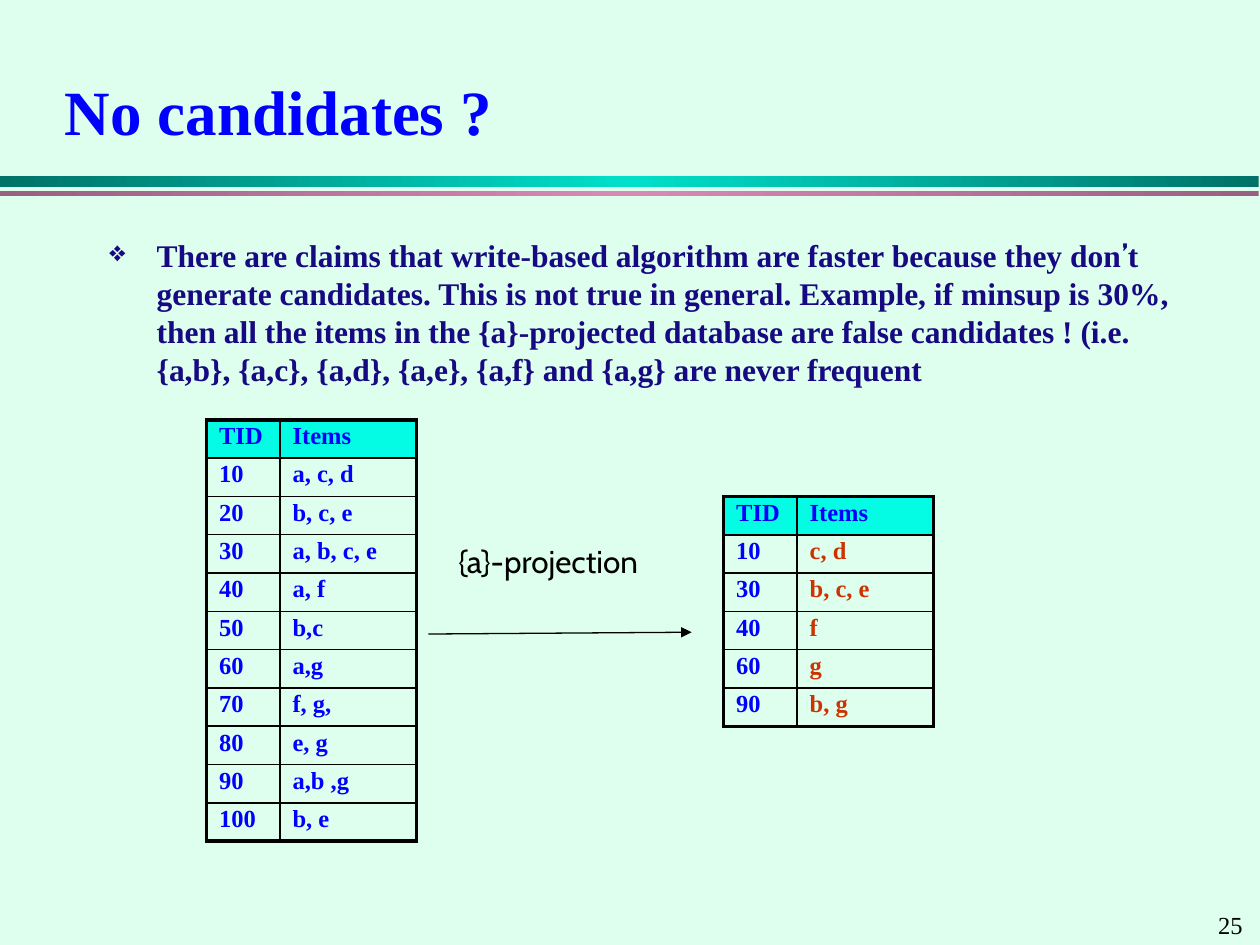
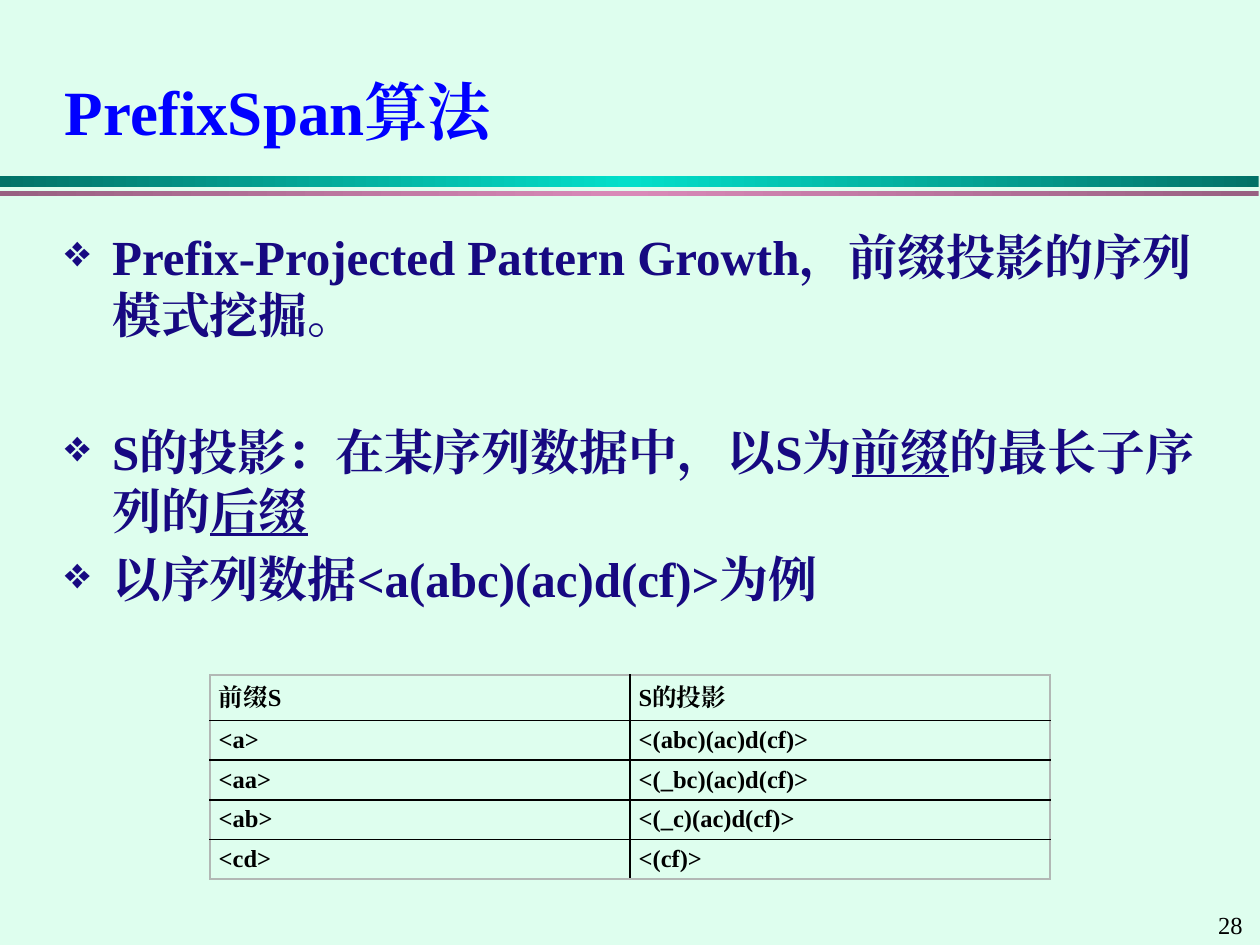
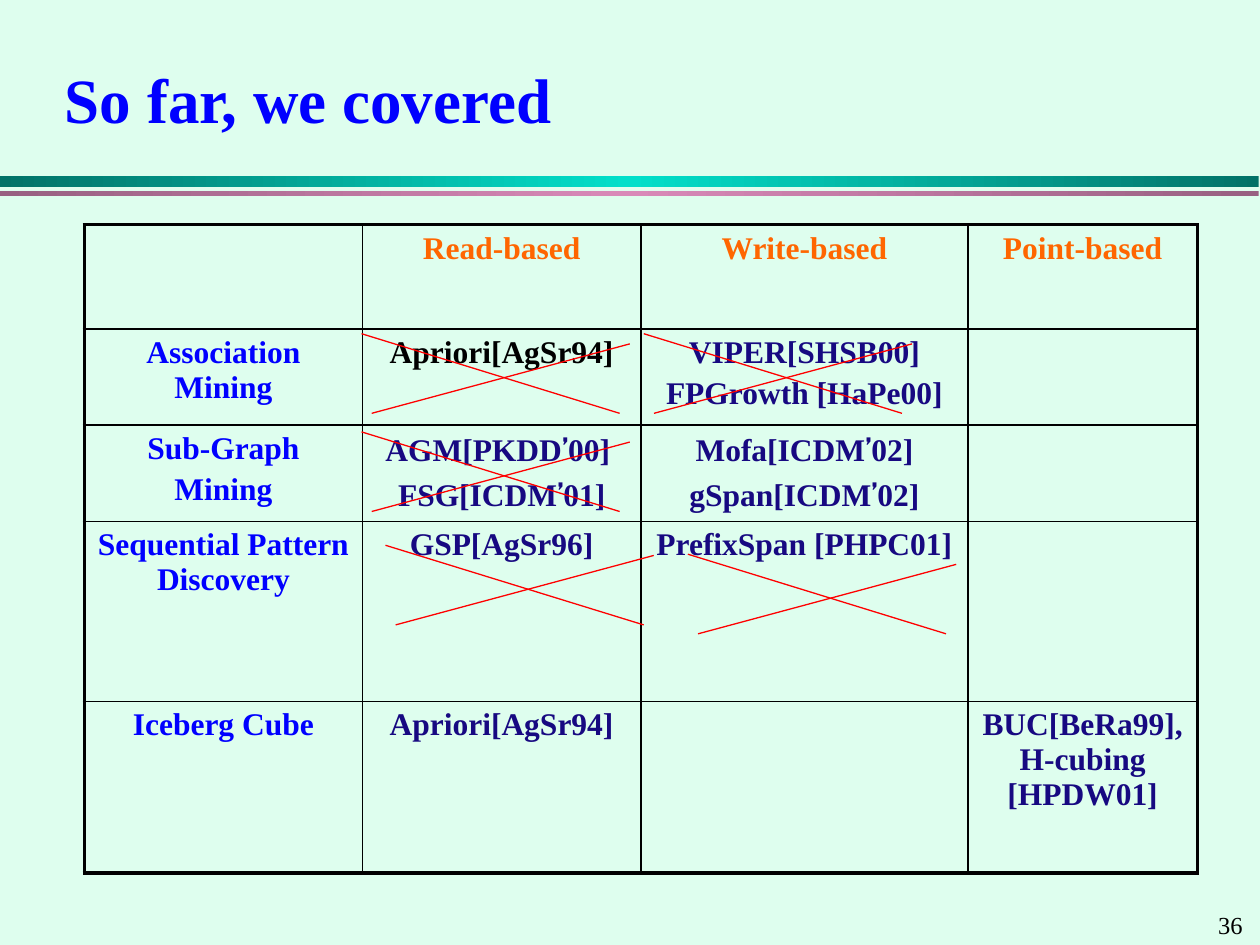
from copy import deepcopy
from itertools import accumulate, groupby

from lxml import etree
from pptx import Presentation
from pptx.dml.color import RGBColor
from pptx.enum import shapes, text
from pptx.oxml.ns import qn
from pptx.util import Pt

# Shared look
SERIF, SANS = "Times New Roman", "Cabin"
MINT, BLUE, NAVY, BLACK = "DEFEEE", "0000FF", "170981", "000000"
AQUA, RUST, ORANGE, RED, GREY = "04FCE4", "CC3300", "FF6600", "FF0000", "B2B8B5"
BANDS = [(100.8, 5.8, "007267", "00DFCA"), (109.4, 2.9, "986081", "D989B8")]

# Slide 1
CLAIM = ("There are claims that write-based algorithm are faster because they don’t "
         "generate candidates. This is not true in general. Example, if minsup is 30%, "
         "then all the items in the {a}-projected database are false candidates ! "
         "(i.e. {a,b}, {a,c}, {a,d}, {a,e}, {a,f} and {a,g} are never frequent")
HEAD = ("TID", "Items")
ALL = [HEAD, ("10", "a, c, d"), ("20", "b, c, e"), ("30", "a, b, c, e"), ("40", "a, f"),
       ("50", "b,c"), ("60", "a,g"), ("70", "f, g,"), ("80", "e, g"), ("90", "a,b ,g"),
       ("100", "b, e")]
PART = [HEAD, ("10", "c, d"), ("30", "b, c, e"), ("40", "f"), ("60", "g"), ("90", "b, g")]

# Slide 2: bars enclose underlined words; each point has its space before
POINTS = [("Prefix-Projected Pattern Growth，前缀投影的序列模式挖掘。", 0),
          ("S的投影：在某序列数据中，以S为|前缀|的最长子序列的|后缀|", 44.9),
          ("以序列数据<a(abc)(ac)d(cf)>为例", 5.6)]
PREFIX = [("前缀S", "S的投影"), ("<a>", "<(abc)(ac)d(cf)>"), ("<aa>", "<(_bc)(ac)d(cf)>"),
          ("<ab>", "<(_c)(ac)d(cf)>"), ("<cd>", "<(cf)>")]

# Slide 3
COVER = [("", "Read-based", "Write-based", "Point-based"),
         ("Association Mining", "Apriori[AgSr94]", "VIPER[SHSB00]\nFPGrowth [HaPe00]", ""),
         ("Sub-Graph\nMining", "AGM[PKDD’00] \nFSG[ICDM’01]",
          "Mofa[ICDM’02]\ngSpan[ICDM’02]", ""),
         ("Sequential Pattern Discovery", "GSP[AgSr96]", "PrefixSpan [PHPC01]", ""),
         ("Iceberg Cube", "Apriori[AgSr94]", "", "BUC[BeRa99], H-cubing [HPDW01]")]
CROSSES = [(212.4, 236.2), (373.7, 236.2), (226.1, 357.1), (398.9, 362.2), (212.4, 292.3)]


def paint(fmt, color):
    fmt.solid()
    fmt.fore_color.rgb = RGBColor.from_string(color)


def write(par, words, size, color, bold=True, face=SERIF):
    """Fill a paragraph; bars toggle underline, the curly quote is set in Cabin."""
    for i, piece in enumerate(words.split("|")):
        for quote, chars in groupby(piece, lambda c: c == "’"):
            run = par.add_run()
            run.text = "".join(chars)
            font = run.font
            font.name = SANS if quote else face
            font.size, font.bold = Pt(size), bold
            font.color.rgb = RGBColor.from_string(color)
            if i % 2:
                font.underline = True
            etree.SubElement(font._element, qn("a:ea"), typeface=face)


def box(slide, left, top, width, height, wrap=True):
    frame = slide.shapes.add_textbox(Pt(left), Pt(top), Pt(width), Pt(height)).text_frame
    frame.word_wrap = wrap
    return frame


def bullet(par, words, size, pitch, before=0):
    props = par._p.get_or_add_pPr()
    props.set("marL", str(Pt(27)))
    props.set("indent", str(-Pt(27)))
    par.line_spacing, par.space_before = Pt(pitch), Pt(before)
    etree.SubElement(props, qn("a:buSzPct"), val="90000")
    etree.SubElement(props, qn("a:buChar"), char="❖")
    write(par, words, size, NAVY)


def line(slide, x1, y1, x2, y2, color, arrow=False):
    link = slide.shapes.add_connector(
        shapes.MSO_CONNECTOR.STRAIGHT, Pt(x1), Pt(y1), Pt(x2), Pt(y2))
    link.line.width = Pt(0.75)
    paint(link.line.fill, color)
    if arrow:
        etree.SubElement(link.line._get_or_add_ln(), qn("a:tailEnd"), type="triangle")
    etree.SubElement(link._element.spPr, qn("a:effectLst"))


def edge(cell, sides):
    """Put the borders, given as (colour, width) for L, R, T, B, before the fill."""
    props = cell._tc.get_or_add_tcPr()
    for i, (side, (color, width)) in enumerate(zip("LRTB", sides)):
        ln = etree.Element(qn("a:ln" + side), w=str(Pt(width)))
        fill = etree.SubElement(ln, qn("a:solidFill"))
        etree.SubElement(fill, qn("a:srgbClr"), val=color)
        props.insert(i, ln)


def grid(slide, left, top, cols, rows, data, size, hue, rim=(BLACK, 2.25),
         head=None, inset=(7.2, 3.6), middle=True, center=False, pitch=None):
    """Draw a table; hue(row, column) gives the text colour."""
    table = slide.shapes.add_table(len(rows), len(cols), Pt(left), Pt(top),
                                   Pt(sum(cols)), Pt(sum(rows))).table
    table.first_row = table.horz_banding = False
    for col, width in zip(table.columns, cols):
        col.width = Pt(width)
    for row, height in zip(table.rows, rows):
        row.height = Pt(height)
    thin = (BLACK, 1)
    for r, record in enumerate(data):
        for c, words in enumerate(record):
            cell = table.cell(r, c)
            cell.margin_left = cell.margin_right = Pt(inset[0])
            cell.margin_top = cell.margin_bottom = Pt(inset[1])
            if middle:
                cell.vertical_anchor = text.MSO_ANCHOR.MIDDLE
            if head and r == 0:
                paint(cell.fill, head)
            else:
                cell.fill.background()
            outer = (c == 0, c == len(cols) - 1, r == 0, r == len(rows) - 1)
            edge(cell, [rim if out else thin for out in outer])
            for i, part in enumerate(words.split("\n")):
                par = cell.text_frame.add_paragraph() if i else cell.text_frame.paragraphs[0]
                if i:
                    par.space_before = Pt(size * 0.2)
                if center:
                    par.alignment = text.PP_ALIGN.CENTER
                if pitch:
                    par.line_spacing = pitch
                write(par, part, size, hue(r, c))


def start(prs, title, number, height=66):
    """Add a slide with the background, bands, page number and title."""
    slide = prs.slides.add_slide(prs.slide_layouts[6])
    paint(slide.background.fill, MINT)
    for top, thick, dark, light in BANDS:
        band = slide.shapes.add_shape(shapes.MSO_SHAPE.RECTANGLE,
                                      0, Pt(top), Pt(719.3), Pt(thick))
        band.shadow.inherit = False
        band.line.fill.background()
        band.fill.gradient()
        band.fill.gradient_angle = 0
        stops = band._element.spPr.find(".//" + qn("a:gsLst"))
        stops.append(deepcopy(stops[0]))
        for stop, spot, color in zip(band.fill.gradient_stops, (0, 0.5, 1),
                                     (dark, light, dark)):
            stop.position = spot
            stop.color.rgb = RGBColor.from_string(color)
    page = box(slide, 689, 516.2, 31, 24, wrap=False)
    write(page.paragraphs[0], number, 14, BLACK, bold=False)
    frame = box(slide, 30, 30, 660, height)
    frame.vertical_anchor = text.MSO_ANCHOR.MIDDLE
    write(frame.paragraphs[0], title, 36, BLUE)
    return slide


def claims(prs):
    slide = start(prs, "No candidates ?", "25")
    body = box(slide, 55.4, 105.8, 639.4, 334)
    body.margin_top = Pt(29)
    bullet(body.paragraphs[0], CLAIM, 18, 21.7)
    # Full database, projected database and the arrow between them
    for left, top, data, items in ((118, 239.9, ALL, BLUE), (413.5, 283.7, PART, RUST)):
        grid(slide, left, top, (42, 78), [21.9] * len(data), data, 14,
             lambda r, c: items if r and c else BLUE, head=AQUA, pitch=0.7)
    line(slide, 244.8, 362.3, 395.2, 361.3, BLACK, arrow=True)
    label = box(slide, 254.9, 306, 142.6, 29)
    write(label.paragraphs[0], "{a}-projection", 18, BLACK, bold=False, face=SANS)


def prefix(prs):
    slide = start(prs, "PrefixSpan算法", "28")
    body = box(slide, 30, 126, 660, 378)
    for i, (words, before) in enumerate(POINTS):
        par = body.add_paragraph() if i else body.paragraphs[0]
        bullet(par, words, 28, 33.4, before)
    grid(slide, 120, 385.8, (240, 240), [26] + [21.8] * 4, PREFIX, 14,
         lambda r, c: BLACK, rim=(GREY, 1), inset=(5, 2.9))


def covered(prs):
    slide = start(prs, "So far, we covered", "36", 52.6)

    def hue(r, c):
        if r == 0:
            return ORANGE
        if c == 0:
            return BLUE
        return BLACK if (r, c) == (1, 1) else NAVY

    grid(slide, 48.2, 128.4, (159, 159, 187, 131), (59.5, 55, 55, 103, 98), COVER, 18,
         hue, middle=False, center=True)
    # Crosses over the finished topics
    for x, y in CROSSES:
        line(slide, x, y, x + 147.5, y - 39.7, RED)
        line(slide, x + 141.7, y, x - 5.8, y - 45.5, RED)


def main():
    prs = Presentation()
    prs.slide_width, prs.slide_height = Pt(720), Pt(540)
    for build in (claims, prefix, covered):
        build(prs)
    prs.save("out.pptx")


if __name__ == "__main__":
    main()
